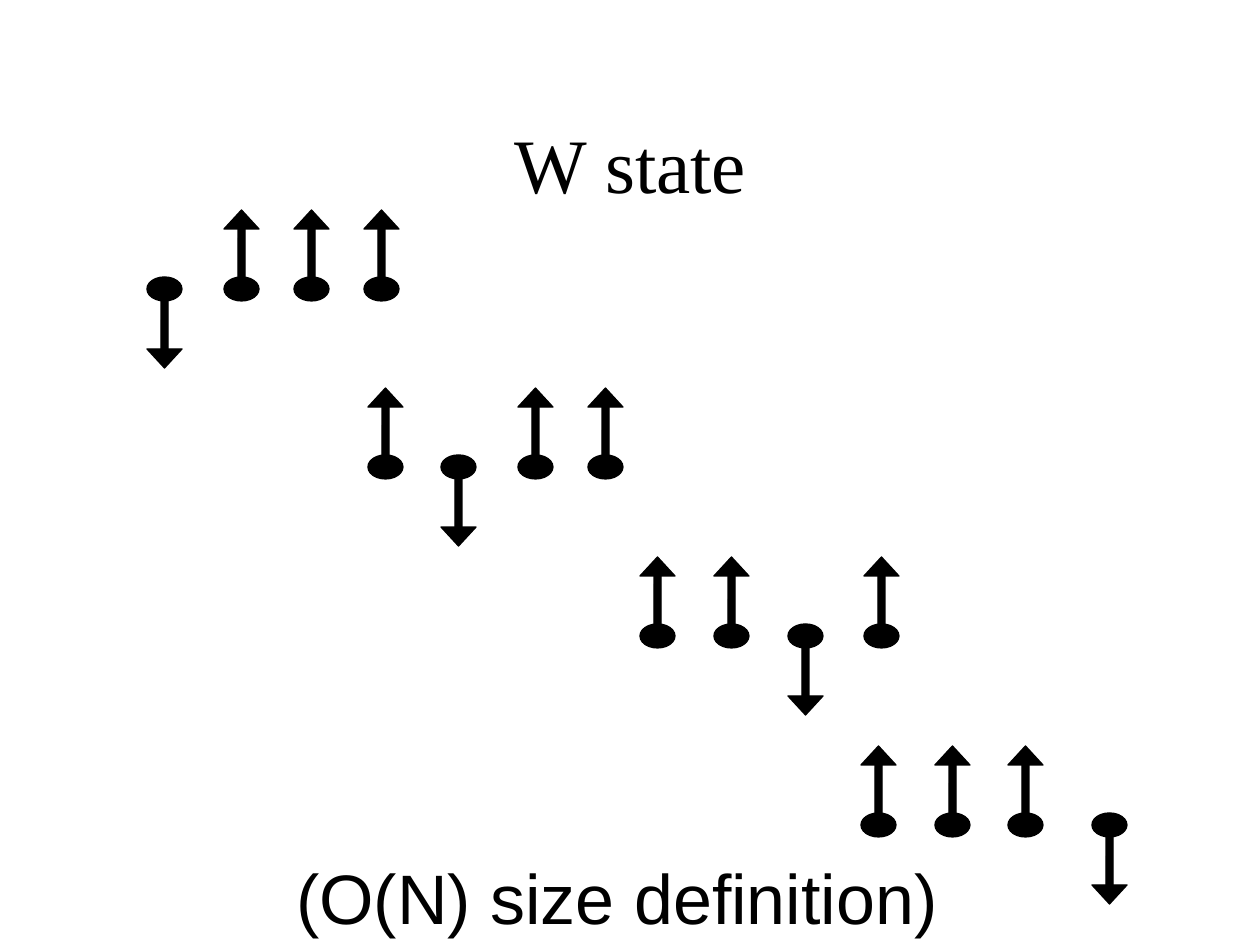
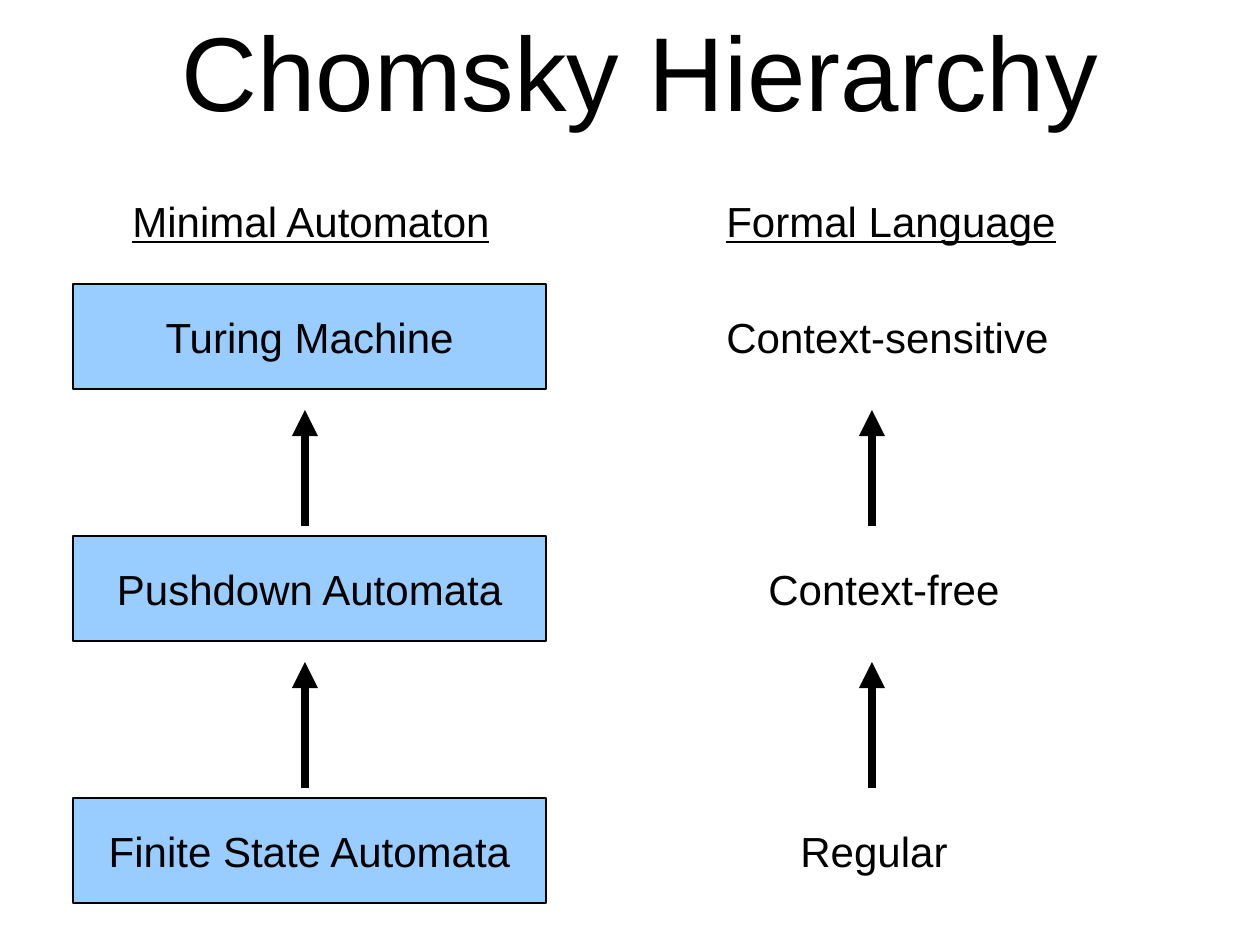
from dataclasses import dataclass

from lxml import etree
from pptx import Presentation
from pptx.dml.color import RGBColor
from pptx.enum.shapes import MSO_CONNECTOR, MSO_SHAPE as Shape
from pptx.enum.text import MSO_ANCHOR as Anchor, MSO_AUTO_SIZE as AutoSize, PP_ALIGN as Align
from pptx.oxml.ns import qn
from pptx.util import Emu, Pt

PX_PER_INCH = 126
SLIDE_WIDTH, SLIDE_HEIGHT = 1260, 945
TITLE_ONLY = 5


@dataclass(frozen=True)
class Theme:
    ink: RGBColor = RGBColor(0x00, 0x00, 0x00)
    box: RGBColor = RGBColor(0x99, 0xCC, 0xFF)
    sans: str = "Arial"
    serif: str = "Times New Roman"
    label_size: int = 24
    caption_size: int = 40
    state_title_size: int = 44
    hierarchy_title_size: int = 60
    outline: float = 0.75
    arrow: float = 5


THEME = Theme()

# Each spin fits a cell of this size: head at one end, dot at the other.
SPIN_WIDTH, SPIN_HEIGHT = 35, 91
HEAD_HEIGHT, DOT_HEIGHT = 19, 24
STEM_WIDTH, STEM_HEIGHT, STEM_OFFSET = 7, 62, 14

# Top of the dots, left edges of the spins, index of the spin that points down
SPIN_ROWS = [
    (277, (147, 224, 294, 364), 0),
    (455, (368, 441, 518, 588), 1),
    (624, (640, 714, 788, 864), 2),
    (813, (861, 935, 1008, 1092), 3),
]

BOX_LEFT, BOX_WIDTH, BOX_HEIGHT = 73, 473, 105
ARROW_CENTRES = (305, 872)
ARROW_START_GAP, ARROW_END_GAP = 10, 21
LABEL_HEIGHT = 63

# Box top, automaton, language, left and width of the language label
HIERARCHY = [
    (284, "Turing Machine", "Context-sensitive", 714, 347),
    (536, "Pushdown Automata", "Context-free", 756, 256),
    (798, "Finite State Automata", "Regular", 788, 171),
]


def px(length):
    return Emu(round(length * 914400 / PX_PER_INCH))


def write(shape, text, size, font=THEME.sans, align=Align.LEFT, anchor=Anchor.TOP,
          underline=None, wrap=False):
    frame = shape.text_frame
    frame.word_wrap = wrap
    frame.auto_size = AutoSize.NONE
    frame.vertical_anchor = anchor
    paragraph = frame.paragraphs[0]
    paragraph.alignment = align
    run = paragraph.add_run()
    run.text = text
    run.font.name = font
    run.font.size = Pt(size)
    run.font.underline = underline
    run.font.color.rgb = THEME.ink


def set_title(slide, text, size, left, top, width, height, **style):
    title = slide.shapes.title
    title.left, title.top, title.width, title.height = map(px, (left, top, width, height))
    write(title, text, size, wrap=True, **style)


def add_label(slide, text, left, top, width, height=LABEL_HEIGHT,
              size=THEME.label_size, underline=None):
    label = slide.shapes.add_textbox(*map(px, (left, top, width, height)))
    write(label, text, size, underline=underline)


def add_filled(shapes, kind, left, top, width, height, fill=THEME.ink):
    shape = shapes.add_shape(kind, *map(px, (left, top, width, height)))
    shape.shadow.inherit = False
    shape.fill.solid()
    shape.fill.fore_color.rgb = fill
    shape.line.color.rgb = THEME.ink
    shape.line.width = Pt(THEME.outline)
    return shape


def add_spin(shapes, left, dot_top, down):
    """Draw one spin; a down spin is the up spin mirrored about its dot."""
    top = dot_top if down else dot_top + DOT_HEIGHT - SPIN_HEIGHT

    def place(offset, height):
        return top + (SPIN_HEIGHT - offset - height if down else offset)

    add_filled(shapes, Shape.OVAL, left, dot_top, SPIN_WIDTH, DOT_HEIGHT)
    head = add_filled(shapes, Shape.ISOSCELES_TRIANGLE, left, place(0, HEAD_HEIGHT),
                      SPIN_WIDTH, HEAD_HEIGHT)
    head.rotation = 180 if down else 0
    add_filled(shapes, Shape.ROUNDED_RECTANGLE, left + (SPIN_WIDTH - STEM_WIDTH) / 2,
               place(STEM_OFFSET, STEM_HEIGHT), STEM_WIDTH, STEM_HEIGHT)


def add_box(slide, text, top):
    box = add_filled(slide.shapes, Shape.RECTANGLE, BOX_LEFT, top, BOX_WIDTH, BOX_HEIGHT,
                     THEME.box)
    write(box, text, THEME.label_size, align=Align.CENTER, anchor=Anchor.MIDDLE)


def add_up_arrow(slide, centre, start, end):
    arrow = slide.shapes.add_connector(MSO_CONNECTOR.STRAIGHT,
                                       *map(px, (centre, start, centre, end)))
    arrow.line.color.rgb = THEME.ink
    arrow.line.width = Pt(THEME.arrow)
    etree.SubElement(arrow.line._get_or_add_ln(), qn("a:tailEnd"), type="triangle")
    etree.SubElement(arrow._element.spPr, qn("a:effectLst"))


def build_w_state(slide):
    set_title(slide, "W state", THEME.state_title_size, 95, 84, 1071, 158,
              font=THEME.serif, align=Align.CENTER, anchor=Anchor.MIDDLE)
    for dot_top, lefts, down_index in SPIN_ROWS:
        row = slide.shapes.add_group_shape()
        for index, left in enumerate(lefts):
            add_spin(row.shapes, left, dot_top, index == down_index)
    add_label(slide, "(O(N) size definition)", 284, 848, 667, 97, THEME.caption_size)


def build_hierarchy(slide):
    set_title(slide, "Chomsky Hierarchy", THEME.hierarchy_title_size, 169, 0, 965, 139)
    add_label(slide, "Minimal Automaton", 120, 189, 384, underline=True)
    add_label(slide, "Formal Language", 714, 189, 354, underline=True)
    for top, automaton, language, left, width in HIERARCHY:
        add_box(slide, automaton, top)
        add_label(slide, language, left, top + (BOX_HEIGHT - LABEL_HEIGHT) / 2, width)
    tops = [row[0] for row in HIERARCHY]
    for upper, lower in zip(tops, tops[1:]):
        for centre in ARROW_CENTRES:
            add_up_arrow(slide, centre, lower - ARROW_START_GAP,
                         upper + BOX_HEIGHT + ARROW_END_GAP)


def main():
    presentation = Presentation()
    presentation.slide_width = px(SLIDE_WIDTH)
    presentation.slide_height = px(SLIDE_HEIGHT)
    for build in (build_w_state, build_hierarchy):
        build(presentation.slides.add_slide(presentation.slide_layouts[TITLE_ONLY]))
    presentation.save("out.pptx")


if __name__ == "__main__":
    main()
